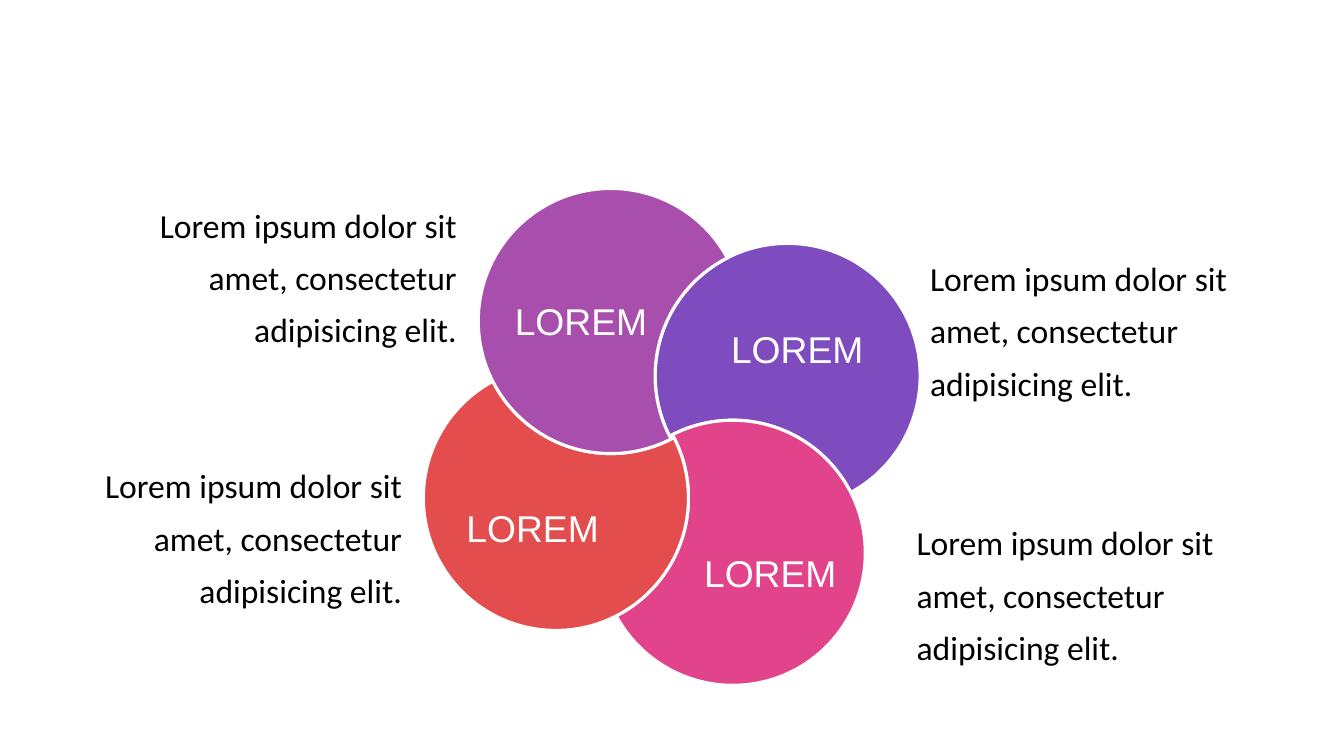
from math import acos, ceil, cos, degrees, floor, radians, sin, sqrt, tan
from lxml import etree
from pptx import Presentation
from pptx import util as u
from pptx.dml.color import RGBColor
from pptx.enum import text
from pptx.oxml import ns

COLORS = {
    "violet": "7E4CBE", "pink": "E1448B", "red": "E34D4D", "purple": "A84FAE",
    "white": "FFFFFF", "black": "000000",
}
PETALS = ["violet", "pink", "red", "purple"]
LABEL = "LOREM"
BODY = "Lorem ipsum dolor sit amet, consectetur adipisicing elit."
LEFT, CENTER, RIGHT = text.PP_ALIGN.LEFT, text.PP_ALIGN.CENTER, text.PP_ALIGN.RIGHT
BODIES = [
    (2.69, 4.71, RIGHT),
    (1.31, 11.28, RIGHT),
    (23.19, 6.05, LEFT),
    (22.85, 12.72, LEFT),
]
LABELS = [
    (12.17, 5.79, 4.95),
    (17.3, 6.49, 5.59),
    (10.67, 11, 5.51),
    (17.14, 12.14, 4.55),
]
BODY_WIDTH, TEXT_HEIGHT = 9.07, 4.24
HUB = (16.93, 11.01)
ORBIT, RADIUS, FIRST_ANGLE = 3.3, 3.34, -27.75


def color(name):
    return RGBColor.from_string(COLORS[name])


def polar(center, radius, angle):
    return (center[0] + radius * cos(radians(angle)),
            center[1] + radius * sin(radians(angle)))


def arc_curves(center, start, end):
    low, high = sorted((start, end))
    quarters = [90 * k for k in range(floor(low / 90) + 1, ceil(high / 90))]
    stops = sorted([start, *quarters, end], reverse=end < start)
    points = []
    for a, b in zip(stops, stops[1:]):
        handle = 4 / 3 * tan(radians(b - a) / 4) * RADIUS
        first, last = polar(center, RADIUS, a), polar(center, RADIUS, b)
        points += [polar(first, handle, a + 90), polar(last, handle, b - 90), last]
    return points


def bend_lines(shape):
    lines = list(shape._element.iter(ns.qn("a:lnTo")))
    for first, second, third in zip(lines[::3], lines[1::3], lines[2::3]):
        curve = etree.Element(ns.qn("a:cubicBezTo"))
        first.addprevious(curve)
        for line in (first, second, third):
            curve.append(line[0])
            line.getparent().remove(line)


def add_petal(group, name, angle):
    center = polar(HUB, ORBIT, angle)
    neighbor = polar(HUB, ORBIT, angle + 90)
    toward = angle + 135
    half = degrees(acos(ORBIT * sqrt(2) / 2 / RADIUS))
    outline = [polar(center, RADIUS, toward + half)]
    outline += arc_curves(center, toward + half, toward + 360 - half)
    outline += arc_curves(neighbor, toward + 180 + half, toward + 180 - half)
    points = [(u.Cm(x), u.Cm(y)) for x, y in outline]
    builder = group.shapes.build_freeform(*points[0])
    builder.add_line_segments(points[1:], close=True)
    shape = builder.convert_to_shape()
    bend_lines(shape)
    shape.shadow.inherit = False
    shape.fill.solid()
    shape.fill.fore_color.rgb = color(name)
    shape.line.color.rgb = color("white")
    shape.line.width = u.Pt(2.25)


def add_text(slide, words, left, top, width, align, font, size, ink):
    box = slide.shapes.add_textbox(u.Cm(left), u.Cm(top), u.Cm(width), u.Cm(TEXT_HEIGHT))
    frame = box.text_frame
    frame.word_wrap = True
    frame.vertical_anchor = text.MSO_ANCHOR.MIDDLE
    frame.text = words
    paragraph = frame.paragraphs[0]
    paragraph.alignment = align
    paragraph.line_spacing = 1.3
    paragraph.space_before = u.Pt(12)
    run = paragraph.runs[0]
    run.font.name = font
    run.font.size = u.Pt(size)
    run.font.color.rgb = color(ink)


def main():
    presentation = Presentation()
    presentation.slide_width, presentation.slide_height = u.Cm(33.87), u.Cm(19.05)
    slide = presentation.slides.add_slide(presentation.slide_layouts[6])
    group = slide.shapes.add_group_shape()
    for index, name in enumerate(PETALS):
        add_petal(group, name, FIRST_ANGLE + 90 * index)
    for left, top, align in BODIES:
        add_text(slide, BODY, left, top, BODY_WIDTH, align, "Calibri", 24, "black")
    for left, top, width in LABELS:
        add_text(slide, LABEL, left, top, width, CENTER, "Arial", 26.6, "white")
    presentation.save("out.pptx")


if __name__ == "__main__":
    main()
